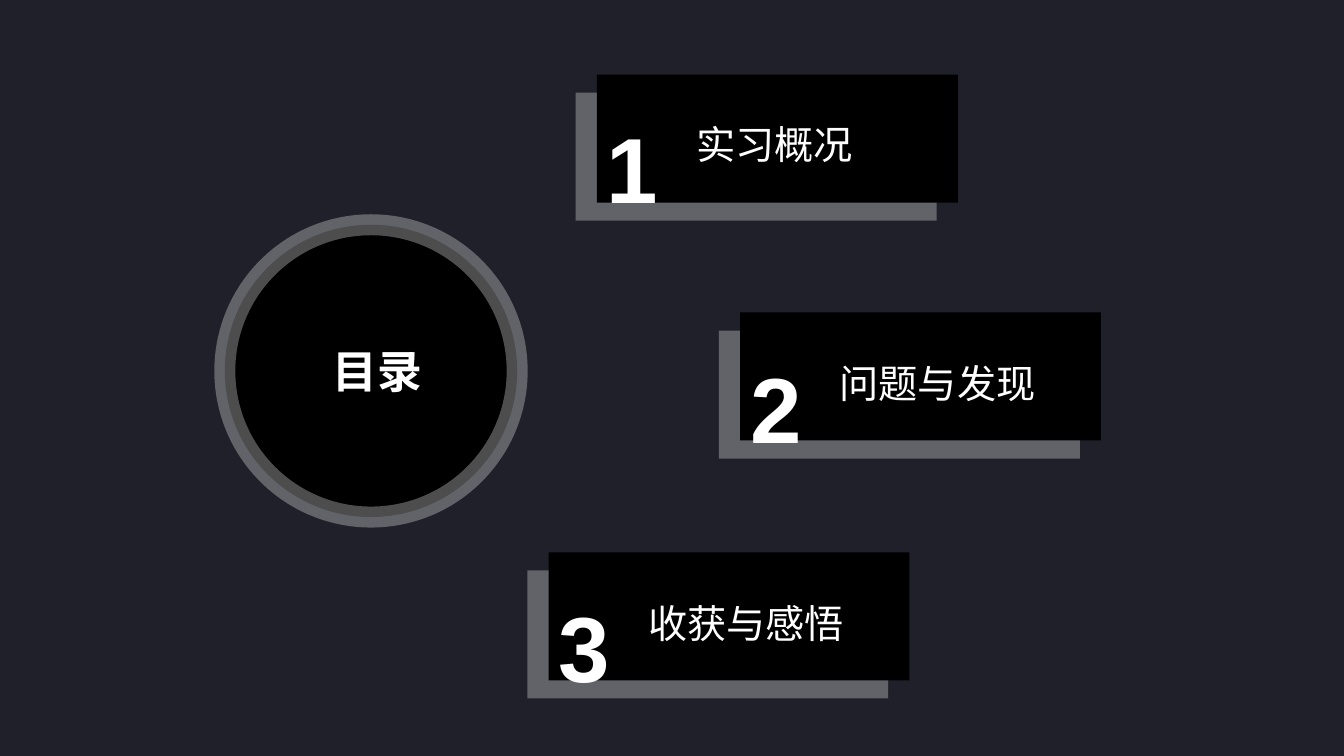
from pptx import Presentation
from pptx.dml.color import RGBColor
from pptx.enum.shapes import MSO_SHAPE
from pptx.enum.text import MSO_ANCHOR, MSO_AUTO_SIZE, PP_ALIGN
from pptx.oxml.ns import qn
from pptx.util import Inches, Pt
from lxml import etree

RECT, OVAL = MSO_SHAPE.RECTANGLE, MSO_SHAPE.OVAL
TOP, FIT = MSO_ANCHOR.TOP, MSO_AUTO_SIZE.SHAPE_TO_FIT_TEXT
LEFT, CENTER = PP_ALIGN.LEFT, PP_ALIGN.CENTER
NIGHT = RGBColor(0x1F, 0x20, 0x29)
BLACK = RGBColor(0, 0, 0)
WHITE = RGBColor(0xFF, 0xFF, 0xFF)


class Deck:
    font = "Arial"
    ink = WHITE

    def __init__(self):
        self.prs = Presentation()
        self.prs.slide_width = Inches(13.33)
        self.prs.slide_height = Inches(7.5)
        self.slide = self.prs.slides.add_slide(self.prs.slide_layouts[5])
        self.paint(self.slide.background.fill, NIGHT)

    def paint(self, fill, color, alpha=100):
        fill.solid()
        fill.fore_color.rgb = color
        if alpha < 100:
            tone = fill._xPr.find(".//" + qn("a:srgbClr"))
            etree.SubElement(tone, qn("a:alpha"), val=str(alpha * 1000))

    def shape(self, kind, box, color, alpha=100):
        item = self.slide.shapes.add_shape(kind, *map(Inches, box))
        item.shadow.inherit = False
        self.paint(item.fill, color, alpha)
        item.line.fill.background()
        return item

    def label(self, item, text, size, bold=False, align=LEFT):
        frame = item.text_frame
        frame.text = text
        form = {"word_wrap": True, "auto_size": FIT, "vertical_anchor": TOP}
        for name, value in form.items():
            setattr(frame, name, value)
        para = frame.paragraphs[0]
        para.alignment = align
        font = para.runs[0].font
        style = {"name": self.font, "size": Pt(size), "bold": bold}
        for name, value in style.items():
            setattr(font, name, value)
        font.color.rgb = self.ink

    def text(self, box, text, size, bold=False):
        item = self.slide.shapes.add_textbox(*map(Inches, box))
        self.label(item, text, size, bold)

    def title(self, box, text, size):
        item = self.slide.shapes.title
        for name, value in zip(("left", "top", "width", "height"), box):
            setattr(item, name, Inches(value))
        self.label(item, text, size, True, CENTER)
        # Bring the title in front of the disc
        self.slide.shapes._spTree.append(item._element)

    def disc(self, box):
        line = self.shape(OVAL, box, BLACK).line
        line.width = Pt(15)
        self.paint(line.fill, WHITE, 30)

    def card(self, num, name, x, y, drop):
        self.shape(RECT, (x - 0.21, y + 0.18, 3.58, 1.27), WHITE, 30)
        self.shape(RECT, (x, y, 3.58, 1.27), BLACK)
        self.text((x, y + drop, 0.79, 1.21), str(num), 66, True)
        self.text((x + 0.89, y + drop + 0.09, 2.4, 0.57), name, 28)


def main():
    deck = Deck()

    # Title disc
    deck.disc((2.23, 2.23, 2.9, 2.9))
    deck.title((2.37, 3.36, 2.75, 0.64), "目录", 32)

    # Numbered cards: name, left, top, text drop
    cards = [
        ("实习概况", 5.92, 0.74, 0.31),
        ("问题与发现", 7.34, 3.1, 0.33),
        ("收获与感悟", 5.44, 5.48, 0.33),
    ]
    for num, card in enumerate(cards, 1):
        deck.card(num, *card)

    deck.prs.save("out.pptx")


if __name__ == "__main__":
    main()
